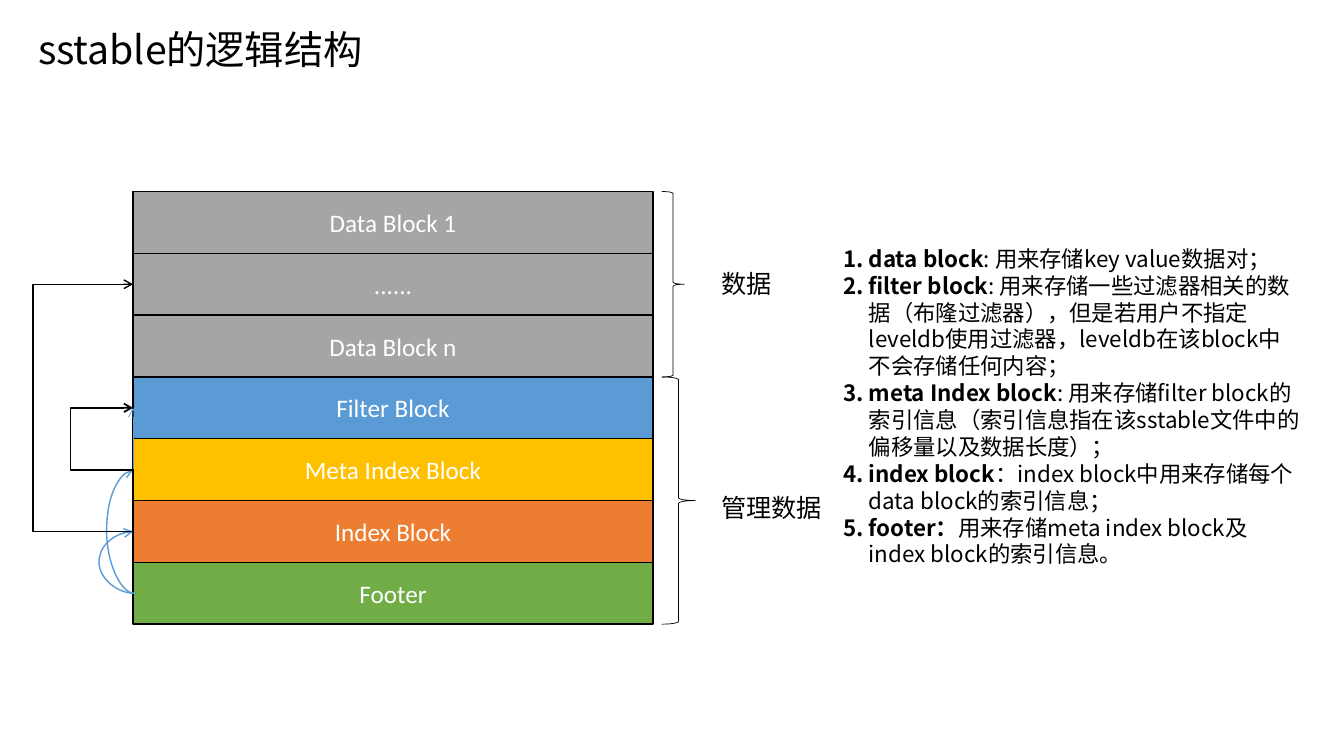
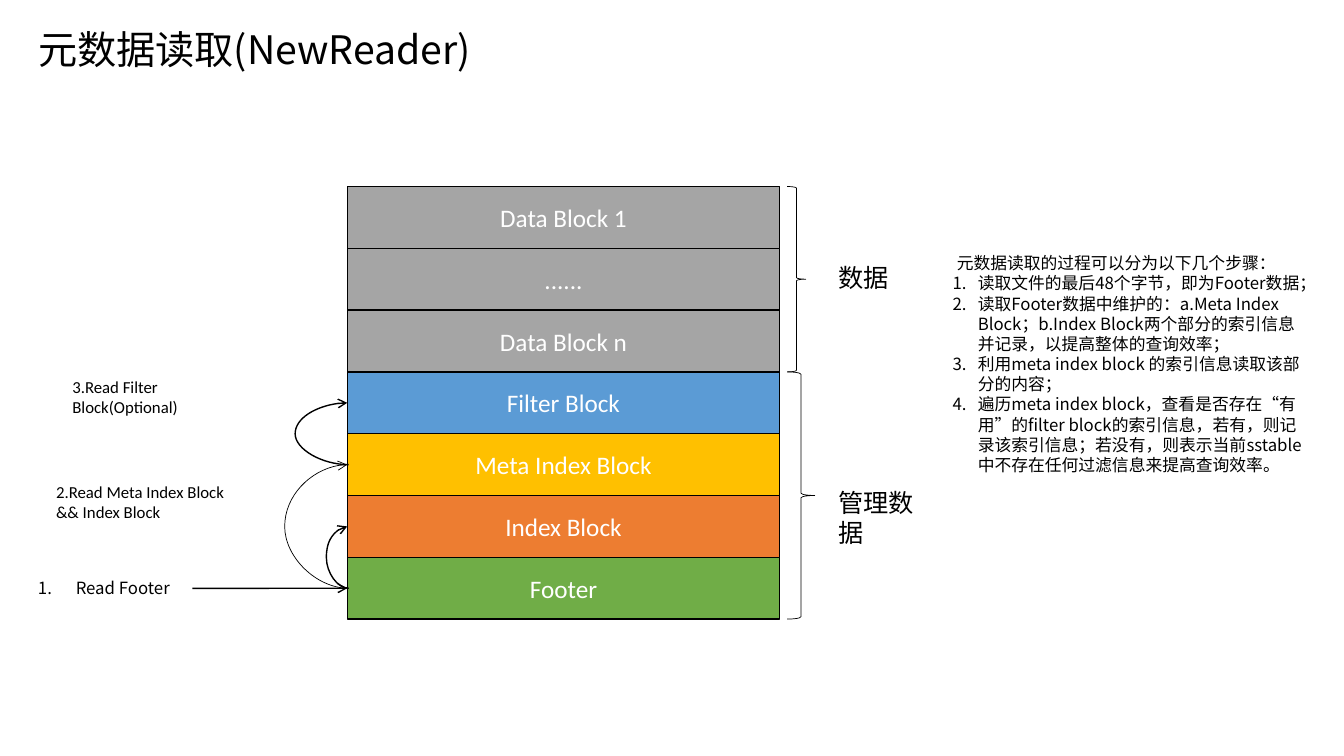
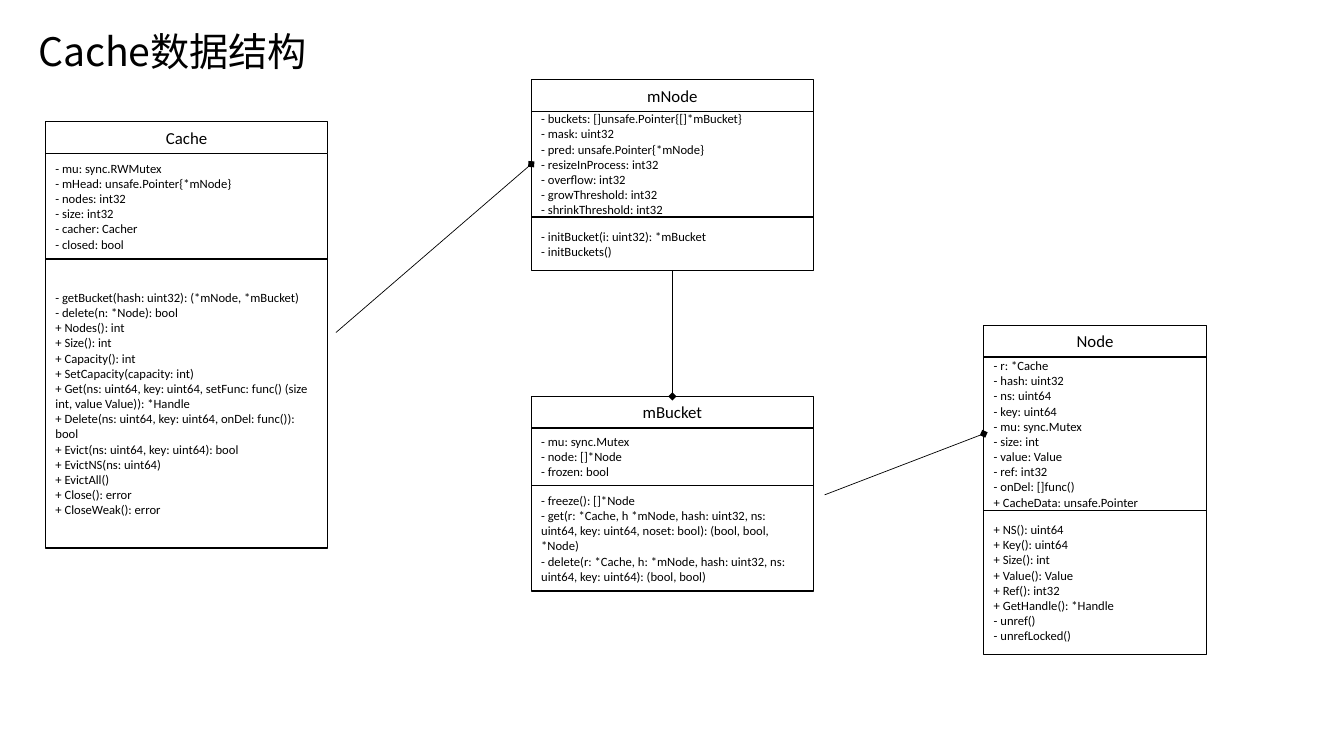
from dataclasses import dataclass

from lxml.etree import SubElement
from pptx import Presentation
from pptx.dml.color import RGBColor
from pptx.enum.shapes import MSO_CONNECTOR, MSO_SHAPE
from pptx.enum.text import MSO_ANCHOR, MSO_AUTO_SIZE, PP_ALIGN
from pptx.oxml.ns import qn
from pptx.util import Pt


@dataclass(frozen=True)
class Theme:
    black: str = "000000"
    white: str = "FFFFFF"
    grey: str = "A5A5A5"
    blue: str = "5B9BD5"
    yellow: str = "FFC000"
    orange: str = "ED7D31"
    green: str = "70AD47"
    latin: str = "Calibri"
    cjk: str = "Noto Sans CJK JP"
    title_size: float = 28
    block_size: float = 18
    list_size: float = 16
    note_size: float = 12
    member_size: float = 9
    cjk_leading: float = 1.2
    outline: float = 1
    thin: float = 0.5


THEME = Theme()

BLOCKS = (
    ("Data Block 1", THEME.grey),
    ("......", THEME.grey),
    ("Data Block n", THEME.grey),
    ("Filter Block", THEME.blue),
    ("Meta Index Block", THEME.yellow),
    ("Index Block", THEME.orange),
    ("Footer", THEME.green),
)
ROW = 44.15
HEADER = 22.5

BLOCK_ROLES = (
    ("data block", ": 用来存储key value数据对；"),
    ("filter block", ": 用来存储一些过滤器相关的数据（布隆过滤器），但是若用户不指定"
                     "leveldb使用过滤器，leveldb在该block中不会存储任何内容；"),
    ("meta Index block", ": 用来存储filter block的索引信息"
                         "（索引信息指在该sstable文件中的偏移量以及数据长度）；"),
    ("index block", "：index block中用来存储每个data block的索引信息；"),
    ("footer：", "用来存储meta index block及index block的索引信息。"),
)
READ_INTRO = "元数据读取的过程可以分为以下几个步骤："
READ_STEPS = (
    "读取文件的最后48个字节，即为Footer数据；",
    "读取Footer数据中维护的：a.Meta Index Block；b.Index Block"
    "两个部分的索引信息并记录，以提高整体的查询效率；",
    "利用meta index block 的索引信息读取该部分的内容；",
    "遍历meta index block，查看是否存在“有用”的filter block的索引信息，若有，"
    "则记录该索引信息；若没有，则表示当前sstable中不存在任何过滤信息来提高查询效率。",
)

CACHE_FIELDS = (
    "- mu: sync.RWMutex", "- mHead: unsafe.Pointer{*mNode}", "- nodes: int32",
    "- size: int32", "- cacher: Cacher", "- closed: bool",
)
CACHE_METHODS = (
    "- getBucket(hash: uint32): (*mNode, *mBucket)",
    "- delete(n: *Node): bool",
    "+ Nodes(): int",
    "+ Size(): int",
    "+ Capacity(): int",
    "+ SetCapacity(capacity: int)",
    "+ Get(ns: uint64, key: uint64, setFunc: func() (size int, value Value)): *Handle",
    "+ Delete(ns: uint64, key: uint64, onDel: func()): bool",
    "+ Evict(ns: uint64, key: uint64): bool",
    "+ EvictNS(ns: uint64)",
    "+ EvictAll()",
    "+ Close(): error",
    "+ CloseWeak(): error",
)
MNODE_FIELDS = (
    "- buckets: []unsafe.Pointer{[]*mBucket}", "- mask: uint32",
    "- pred: unsafe.Pointer{*mNode}", "- resizeInProcess: int32",
    "- overflow: int32", "- growThreshold: int32", "- shrinkThreshold: int32",
)
MNODE_METHODS = ("- initBucket(i: uint32): *mBucket", "- initBuckets()")
MBUCKET_FIELDS = ("- mu: sync.Mutex", "- node: []*Node", "- frozen: bool")
MBUCKET_METHODS = (
    "- freeze(): []*Node",
    "- get(r: *Cache, h *mNode, hash: uint32, ns: uint64, key: uint64, noset: bool): "
    "(bool, bool, *Node)",
    "- delete(r: *Cache, h: *mNode, hash: uint32, ns: uint64, key: uint64): (bool, bool)",
)
NODE_FIELDS = (
    "- r: *Cache", "- hash: uint32", "- ns: uint64", "- key: uint64",
    "- mu: sync.Mutex", "- size: int", "- value: Value", "- ref: int32",
    "- onDel: []func()", "+ CacheData: unsafe.Pointer",
)
NODE_METHODS = (
    "+ NS(): uint64", "+ Key(): uint64", "+ Size(): int", "+ Value(): Value",
    "+ Ref(): int32", "+ GetHandle(): *Handle", "- unref()", "- unrefLocked()",
)


def rgb(color):
    return RGBColor.from_string(color)


def points(box):
    return [Pt(length) for length in box]


def style_text(frame, size, font=THEME.cjk, color=THEME.black, align=PP_ALIGN.LEFT,
               anchor=MSO_ANCHOR.TOP):
    frame.word_wrap = True
    frame.auto_size = MSO_AUTO_SIZE.NONE
    frame.vertical_anchor = anchor
    for paragraph in frame.paragraphs:
        paragraph.alignment = align
        paragraph.space_before = Pt(0)
        if font == THEME.cjk:
            paragraph.line_spacing = Pt(round(size * THEME.cjk_leading, 1))
        for run in paragraph.runs:
            run.font.size = Pt(size)
            run.font.name = font
            run.font.color.rgb = rgb(color)
            if font == THEME.cjk:
                east_asian = SubElement(run.font._element, qn("a:ea"))
                east_asian.set("typeface", font)


def set_marker(paragraph, margin, numbered=True):
    """Number the paragraph with a hanging indent, or only indent it."""
    properties = paragraph._p.get_or_add_pPr()
    properties.set("marL", str(Pt(margin)))
    properties.set("indent", str(Pt(-margin if numbered else 0)))
    if numbered:
        SubElement(properties, qn("a:buFont")).set("typeface", "+mj-lt")
        SubElement(properties, qn("a:buAutoNum")).set("type", "arabicPeriod")
    else:
        SubElement(properties, qn("a:buNone"))


def place(placeholder, box):
    placeholder.left, placeholder.top, placeholder.width, placeholder.height = points(box)
    return placeholder.text_frame


def add_titled_slide(deck, layout, title, top=14.4):
    slide = deck.slides.add_slide(deck.slide_layouts[layout])
    frame = place(slide.shapes.title, (20, top, 400, 41))
    frame.text = title
    style_text(frame, THEME.title_size)
    return slide


def add_label(slide, box, text, size, font=THEME.cjk, numbered=False):
    label = slide.shapes.add_textbox(*points(box))
    label.text_frame.text = text
    if numbered:
        set_marker(label.text_frame.paragraphs[0], 27)
    style_text(label.text_frame, size, font)
    return label


def add_cell(slide, box, text, fill, size, color, align=PP_ALIGN.CENTER):
    cell = slide.shapes.add_shape(MSO_SHAPE.FLOWCHART_PROCESS, *points(box))
    cell.shadow.inherit = False
    cell.fill.solid()
    cell.fill.fore_color.rgb = rgb(fill)
    cell.line.color.rgb = rgb(THEME.black)
    cell.line.width = Pt(THEME.outline)
    cell.text_frame.text = text
    style_text(cell.text_frame, size, THEME.latin, color, align, MSO_ANCHOR.MIDDLE)
    return cell


def add_brace(slide, box):
    brace = slide.shapes.add_shape(MSO_SHAPE.RIGHT_BRACE, *points(box))
    brace.shadow.inherit = False
    brace.fill.background()
    brace.line.color.rgb = rgb(THEME.black)
    brace.line.width = Pt(THEME.thin)


def style_connector(connector, width, head, color=THEME.black):
    connector.line.color.rgb = rgb(color)
    connector.line.width = Pt(width)
    SubElement(connector.line._get_or_add_ln(), qn("a:tailEnd")).set("type", head)
    SubElement(connector._element.spPr, qn("a:effectLst"))


def link(slide, end, end_site, head, width, begin=None, begin_site=3, start=(0, 0),
         color=THEME.black):
    """Draw a straight connector from a shape's side, or a free start, to a shape's side."""
    connector = slide.shapes.add_connector(MSO_CONNECTOR.STRAIGHT, *points(start + start))
    if begin is not None:
        connector.begin_connect(begin, begin_site)
    connector.end_connect(end, end_site)
    style_connector(connector, width, head, color)


def loop(slide, lower, upper, reach, kind=MSO_CONNECTOR.CURVE, width=THEME.outline,
         color=THEME.black):
    """Lead an arrow from the left side of lower, out by reach, to that of upper."""
    connector = slide.shapes.add_connector(kind, 0, 0, 0, 0)
    connector.begin_connect(lower, 1)
    connector.end_connect(upper, 1)
    # The bend is a share of the connector's width, so the width is kept at one point.
    connector.begin_x = lower.left + Pt(1)
    properties = connector._element.spPr
    for flip in ("flipH", "flipV"):
        properties.xfrm.attrib.pop(flip, None)
    properties.xfrm.set("rot", "10800000")
    bend = SubElement(properties.find(qn("a:prstGeom")).find(qn("a:avLst")), qn("a:gd"))
    bend.set("name", "adj1")
    bend.set("fmla", f"val {int((reach + 1) * 100000)}")
    style_connector(connector, width, "arrow", color)


def add_block_stack(slide, left, top, width):
    """Draw the file's blocks with their braces and return the blocks by name."""
    blocks = {
        name: add_cell(slide, (left, top + row * ROW, width, ROW), name, fill,
                       THEME.block_size, THEME.white)
        for row, (name, fill) in enumerate(BLOCKS)
    }
    right = left + width
    sections = (("数据", 0, 3, 0.043, 51, 0.17), ("管理数据", 3, 4, 0.064, 211, 0.266))
    for name, first, rows, brace_share, label_offset, label_share in sections:
        add_brace(slide, (right + 0.017 * width, top + first * ROW,
                          brace_share * width, rows * ROW))
        add_label(slide, (right + 0.112 * width, top + label_offset,
                          label_share * width, 28.8), name, THEME.block_size)
    return blocks


def add_role_list(slide, box):
    frame = place(slide.placeholders[1], box)
    for number, (term, role) in enumerate(BLOCK_ROLES):
        paragraph = frame.add_paragraph() if number else frame.paragraphs[0]
        set_marker(paragraph, 18)
        paragraph.text = term
        paragraph.runs[0].font.bold = True
        paragraph.add_run().text = role
    style_text(frame, THEME.list_size)


def add_step_list(slide, box):
    frame = place(slide.placeholders[1], box)
    frame.text = "\n".join((READ_INTRO,) + READ_STEPS)
    intro, *steps = frame.paragraphs
    set_marker(intro, 3, numbered=False)
    for step in steps:
        set_marker(step, 18)
    style_text(frame, THEME.note_size)


def add_class(slide, left, top, width, name, fields, fields_height, methods, methods_height):
    """Draw a class in three compartments and return them from top to bottom."""
    compartments = []
    for text, height, size, align in (
        (name, HEADER, THEME.note_size, PP_ALIGN.CENTER),
        ("\n".join(fields), fields_height, THEME.member_size, PP_ALIGN.LEFT),
        ("\n".join(methods), methods_height, THEME.member_size, PP_ALIGN.LEFT),
    ):
        compartments.append(add_cell(slide, (left, top, width, height), text,
                                     THEME.white, size, THEME.black, align))
        top += height
    return compartments


def build_structure_slide(deck):
    slide = add_titled_slide(deck, 1, "sstable的逻辑结构")
    blocks = add_block_stack(slide, 95, 136.8, 371.5)
    filters, meta = blocks["Filter Block"], blocks["Meta Index Block"]
    index, footer = blocks["Index Block"], blocks["Footer"]
    loop(slide, footer, index, 24.5, color=THEME.blue)
    loop(slide, footer, meta, 19, color=THEME.blue)
    loop(slide, index, blocks["......"], 72, MSO_CONNECTOR.ELBOW)
    link(slide, filters, 1, "arrow", THEME.thin, begin=meta, begin_site=1, color=THEME.blue)
    loop(slide, meta, filters, 45, MSO_CONNECTOR.ELBOW, 1.25)
    add_role_list(slide, (595.4, 171.4, 340.6, 239.8))


def build_reader_slide(deck):
    slide = add_titled_slide(deck, 1, "元数据读取(NewReader)")
    blocks = add_block_stack(slide, 248, 133.2, 309)
    meta, footer = blocks["Meta Index Block"], blocks["Footer"]
    read_footer = add_label(slide, (20, 409.5, 117.5, 21.6), "Read Footer",
                            THEME.note_size, numbered=True)
    link(slide, footer, 1, "arrow", THEME.outline, begin=read_footer)
    loop(slide, footer, blocks["Index Block"], 15)
    loop(slide, footer, meta, 45, width=THEME.thin)
    loop(slide, meta, blocks["Filter Block"], 37.5)
    for left, top, note in ((33, 340.5, "2.Read Meta Index Block && Index Block"),
                            (44.6, 265.7, "3.Read Filter Block(Optional)")):
        add_label(slide, (left, top, 147, 36), note, THEME.note_size, THEME.latin)
    add_step_list(slide, (673.2, 177.1, 267, 167))


def build_cache_slide(deck):
    slide = add_titled_slide(deck, 5, "Cache数据结构", 16)
    add_class(slide, 32.5, 87, 201.6, "Cache", CACHE_FIELDS, 75.5, CACHE_METHODS, 206.5)
    _, mnode_fields, mnode_methods = add_class(
        slide, 379.5, 57, 201.6, "mNode", MNODE_FIELDS, 75.5, MNODE_METHODS, 38)
    mbucket_name, _, _ = add_class(
        slide, 379.5, 283.2, 201.6, "mBucket", MBUCKET_FIELDS, 41, MBUCKET_METHODS, 75.5)
    _, node_fields, _ = add_class(
        slide, 702.7, 232.5, 159, "Node", NODE_FIELDS, 109.7, NODE_METHODS, 103)
    link(slide, mnode_fields, 1, "diamond", THEME.thin, start=(240, 237.5))
    link(slide, mbucket_name, 0, "diamond", THEME.thin, begin=mnode_methods, begin_site=2)
    link(slide, node_fields, 1, "diamond", THEME.thin, start=(589, 353.5))


def main():
    deck = Presentation()
    deck.slide_width, deck.slide_height = Pt(960), Pt(540)
    build_structure_slide(deck)
    build_reader_slide(deck)
    build_cache_slide(deck)
    deck.save("out.pptx")


if __name__ == "__main__":
    main()
